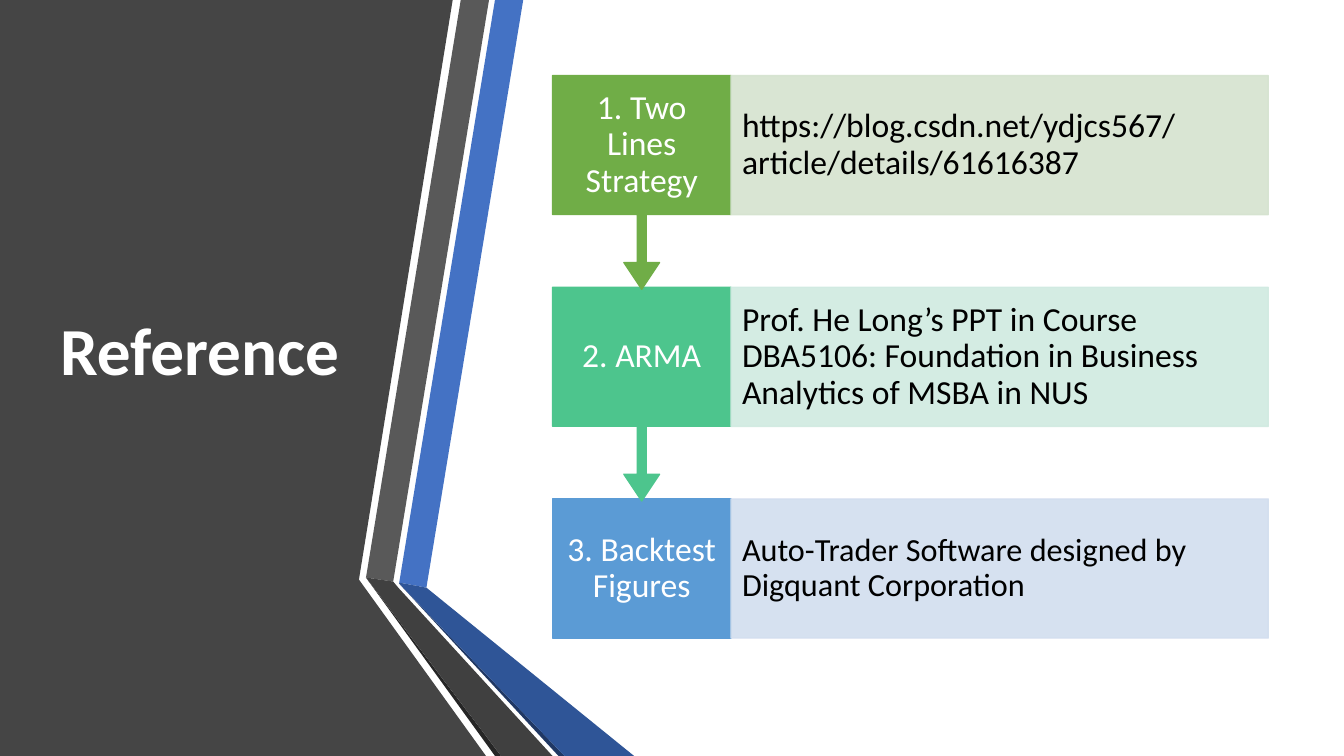
from dataclasses import dataclass

from lxml import etree
from pptx import Presentation
from pptx import util as u
from pptx.dml.color import RGBColor
from pptx.enum import shapes, text
from pptx.oxml.ns import qn

FONT = "Calibri"
COLORS = {
    "panel": "454545",
    "blue": "4472C4", "blue_fold": "2F5597", "blue_edge": "203864",
    "gray": "595959", "gray_fold": "404040", "gray_edge": "262626",
    "white": "FFFFFF", "black": "000000",
    "green": "70AD47", "green_tint": "D5E3CF",
    "teal": "4DC58D", "teal_tint": "D0EAE1",
    "sky": "5B9BD5", "sky_tint": "D2DEEF",
}

# Step layout, in inches
STEP_LEFT, STEP_TOP, STEP_PITCH = 5.48, 0.75, 2.1
LABEL_WIDTH, SOURCE_WIDTH, BOX_HEIGHT = 1.77, 5.33, 1.38
CALLOUT_HEIGHT = 2.12
CALLOUT_ADJUSTMENTS = (0.05, 0.1, 0.15, 0.65)
TINT_ALPHA = 90


@dataclass(frozen=True)
class Band:
    color: str
    points: tuple[tuple[float, float], ...]


@dataclass(frozen=True)
class Step:
    label: str
    source: str
    color: str
    source_size: float = 24


BANDS = [
    Band("panel", ((0, 0), (4.49, 0), (3.56, 5.75), (4.82, 7.5), (0, 7.5))),
    Band("blue", ((3.96, 5.78), (4.23, 5.83), (5.19, 0), (4.91, 0))),
    Band("gray", ((4.85, 0), (4.57, 0), (3.63, 5.73), (3.9, 5.77))),
    Band("gray_edge", ((3.63, 5.73), (4.91, 7.5), (4.97, 7.5))),
    Band("blue_edge", ((3.96, 5.79), (5.54, 7.5), (5.6, 7.5))),
    Band("blue_fold", ((3.96, 5.78), (3.96, 5.79), (5.6, 7.5), (6.29, 7.5), (4.23, 5.83))),
    Band("gray_fold", ((3.63, 5.73), (4.97, 7.5), (5.48, 7.5), (3.95, 5.83), (3.9, 5.77))),
]

STEPS = [
    Step("1. Two Lines Strategy",
         "https://blog.csdn.net/ydjcs567/article/details/61616387", "green"),
    Step("2. ARMA",
         "Prof. He Long’s PPT in Course DBA5106: Foundation in Business "
         "Analytics of MSBA in NUS", "teal"),
    Step("3. Backtest Figures",
         "Auto-Trader Software designed by Digquant Corporation", "sky", 23),
]


def rgb(name: str) -> RGBColor:
    return RGBColor.from_string(COLORS[name])


def draw_band(slide, band: Band) -> None:
    start, *rest = [(u.Inches(x), u.Inches(y)) for x, y in band.points]
    builder = slide.shapes.build_freeform(*start)
    builder.add_line_segments(rest, close=True)
    shape = builder.convert_to_shape()
    shape.shadow.inherit = False
    shape.fill.solid()
    shape.fill.fore_color.rgb = rgb(band.color)
    shape.line.fill.background()


def add_box(slide, preset, left: float, top: float, width: float, height: float, color: str):
    box = slide.shapes.add_shape(
        preset, u.Inches(left), u.Inches(top), u.Inches(width), u.Inches(height))
    box.shadow.inherit = False
    box.fill.solid()
    box.fill.fore_color.rgb = rgb(color)
    box.line.color.rgb = rgb(color)
    box.line.width = u.Pt(1)
    return box


def make_translucent(box, percent: int) -> None:
    for color in box._element.spPr.iter(qn("a:srgbClr")):
        etree.SubElement(color, qn("a:alpha"), val=str(percent * 1000))


def write(shape, words: str, size: float, color: str, align,
          margin_x: float, margin_top: float, margin_bottom: float, bold: bool = False) -> None:
    frame = shape.text_frame
    frame.word_wrap = True
    frame.auto_size = text.MSO_AUTO_SIZE.NONE
    frame.vertical_anchor = text.MSO_ANCHOR.MIDDLE
    frame.margin_left = frame.margin_right = u.Inches(margin_x)
    frame.margin_top, frame.margin_bottom = u.Inches(margin_top), u.Inches(margin_bottom)
    paragraph = frame.paragraphs[0]
    paragraph.text = words
    paragraph.alignment = align
    paragraph.line_spacing = 0.9
    paragraph.space_before = u.Pt(0)
    paragraph.font.name = FONT
    paragraph.font.size = u.Pt(size)
    paragraph.font.bold = bold
    paragraph.font.color.rgb = rgb(color)


def draw_step(slide, step: Step, index: int) -> None:
    top = STEP_TOP + index * STEP_PITCH
    if index < len(STEPS) - 1:
        label = add_box(slide, shapes.MSO_SHAPE.DOWN_ARROW_CALLOUT,
                        STEP_LEFT, top, LABEL_WIDTH, CALLOUT_HEIGHT, step.color)
        for position, value in enumerate(CALLOUT_ADJUSTMENTS):
            label.adjustments[position] = value
    else:
        label = add_box(slide, shapes.MSO_SHAPE.RECTANGLE,
                        STEP_LEFT, top, LABEL_WIDTH, BOX_HEIGHT, step.color)
    write(label, step.label, 24, "white", text.PP_ALIGN.CENTER, 0.13, 0.19, 0.19)

    source = add_box(slide, shapes.MSO_SHAPE.RECTANGLE, STEP_LEFT + LABEL_WIDTH, top,
                     SOURCE_WIDTH, BOX_HEIGHT, f"{step.color}_tint")
    make_translucent(source, TINT_ALPHA)
    write(source, step.source, step.source_size, "black", text.PP_ALIGN.LEFT, 0.11, 0.33, 0.33)


def main() -> None:
    deck = Presentation()
    deck.slide_width, deck.slide_height = u.Inches(13.33), u.Inches(7.5)
    slide = deck.slides.add_slide(deck.slide_layouts.get_by_name("Title Only"))

    # Folded bands on the left
    for band in BANDS:
        draw_band(slide, band)

    # Title, raised by its bottom margin and placed above the bands
    title = slide.shapes.title
    title.left, title.top = u.Inches(0), u.Inches(1.08)
    title.width, title.height = u.Inches(3.96), u.Inches(5.58)
    write(title, "Reference", 48, "white", text.PP_ALIGN.CENTER, 0.1, 0.05, 0.77, bold=True)
    slide.shapes._spTree.append(title._element)

    # Steps from last to first, so each arrow tip lies over the next box
    for index, step in reversed(list(enumerate(STEPS))):
        draw_step(slide, step, index)

    deck.save("out.pptx")


if __name__ == "__main__":
    main()
